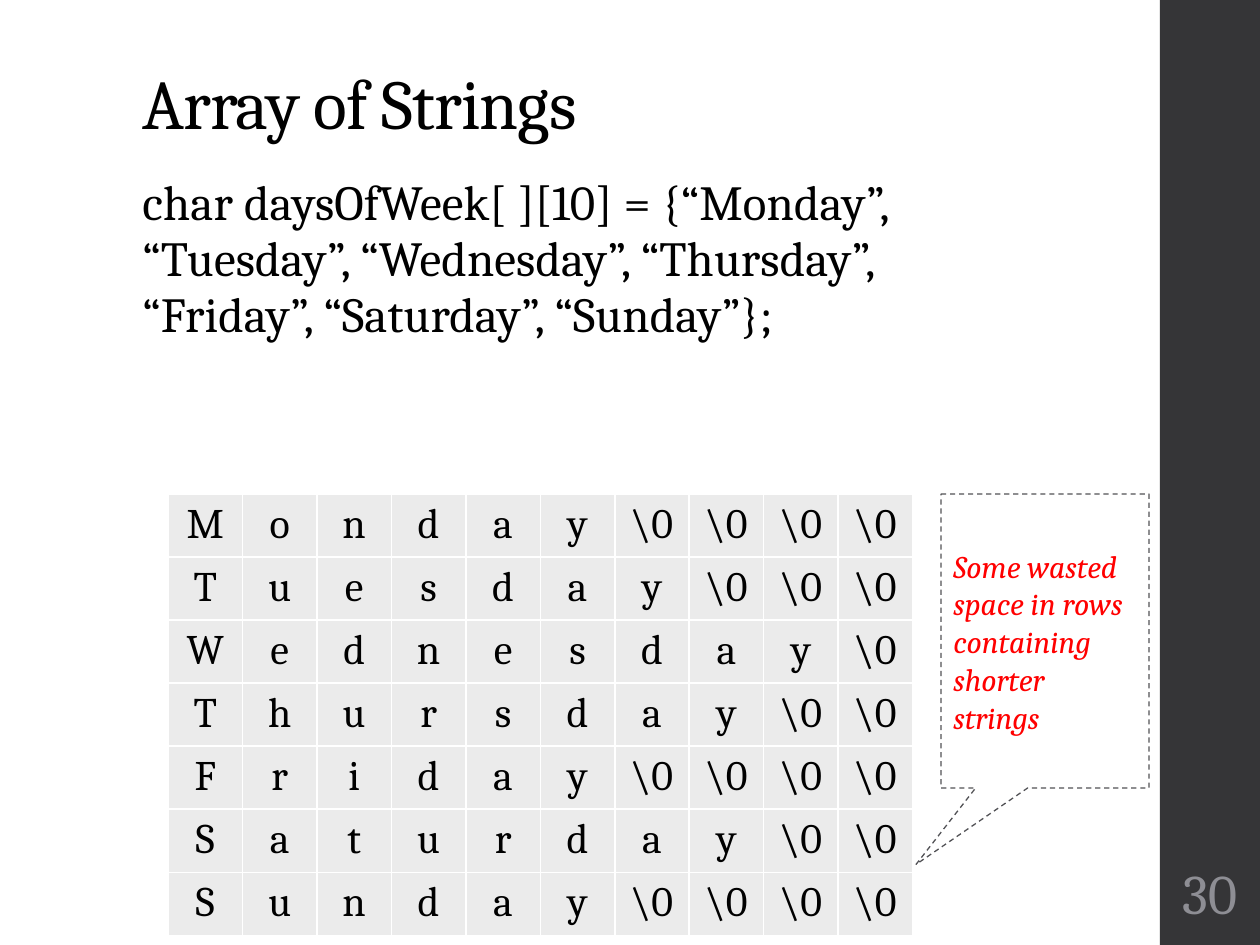
from lxml import etree
from pptx import Presentation
from pptx import util as u
from pptx.dml.color import RGBColor
from pptx.enum import dml, shapes, text
from pptx.oxml import ns

PX = 914400 / 126
FONT = "Cambria"
BLACK = RGBColor(0x00, 0x00, 0x00)
WHITE = RGBColor(0xFF, 0xFF, 0xFF)
CHARCOAL = RGBColor(0x35, 0x35, 0x37)
NUMBER_GREY = RGBColor(0x8E, 0x8E, 0x94)
CELL_GREY = RGBColor(0xEB, 0xEB, 0xEB)
DASH_GREY = RGBColor(0x52, 0x52, 0x56)
RED = RGBColor(0xFF, 0x00, 0x00)
DAYS = ["Monday", "Tuesday", "Wednesday", "Thursday", "Friday", "Saturday", "Sunday"]
ROW_LENGTH = 10


def px(length):
    """Turn px into EMU."""
    return u.Emu(round(length * PX))


def write(frame, words, size, color, align=text.PP_ALIGN.LEFT, spacing=0):
    """Fill a text frame with one styled paragraph and return it."""
    frame.word_wrap = True
    line = frame.paragraphs[0]
    line.text = words
    line.alignment = align
    line.font.name = FONT
    line.font.size = u.Pt(size)
    line.font.color.rgb = color
    if spacing:
        line._p.pPr.find(ns.qn("a:defRPr")).set("spc", str(spacing))
    return line


def add_sidebar(slide, left, top, width, height):
    """Draw the dark band with the slide number near its foot."""
    band = slide.shapes.add_shape(
        shapes.MSO_SHAPE.RECTANGLE, px(left), px(top), px(width), px(height))
    band.shadow.inherit = False
    band.fill.solid()
    band.fill.fore_color.rgb = CHARCOAL
    band.line.fill.background()
    number = slide.shapes.add_textbox(
        px(left + 3), px(top + height - 94), px(width - 6), px(82)).text_frame
    number.margin_left = number.margin_right = px(4)
    number.vertical_anchor = text.MSO_ANCHOR.MIDDLE
    write(number, "30", 32, NUMBER_GREY, text.PP_ALIGN.CENTER)


def add_title(slide, left, top, width, height):
    """Place the title on the bottom of its box."""
    title = slide.shapes.add_textbox(px(left), px(top), px(width), px(height)).text_frame
    title.vertical_anchor = text.MSO_ANCHOR.BOTTOM
    write(title, "Array of Strings", 40, BLACK, spacing=-50).line_spacing = 0.9


def add_declaration(slide, left, top, width, height):
    """Place the array declaration listing all days."""
    code = slide.shapes.add_textbox(px(left), px(top), px(width), px(height)).text_frame
    names = ", ".join(f"“{day}”" for day in DAYS)
    declaration = write(code, f"char daysOfWeek[ ][10] = {{{names}}};", 28, BLACK, spacing=10)
    declaration.line_spacing = 0.95
    declaration.space_after = u.Pt(2)


def add_borders(cell):
    """Give a cell thin white lines on all sides."""
    properties = cell._tc.get_or_add_tcPr()
    for side in ("lnL", "lnR", "lnT", "lnB"):
        edge = etree.SubElement(properties, ns.qn(f"a:{side}"), w=str(u.Pt(1)))
        paint = etree.SubElement(edge, ns.qn("a:solidFill"))
        etree.SubElement(paint, ns.qn("a:srgbClr"), val=str(WHITE))


def add_memory(slide, left, top, width, height):
    """Show each day as a row of characters padded with null characters."""
    memory = slide.shapes.add_table(
        len(DAYS), ROW_LENGTH, px(left), px(top), px(width), px(height)).table
    memory.first_row = memory.horz_banding = False
    for column in memory.columns:
        column.width = px(width / ROW_LENGTH)
    for row, day in zip(memory.rows, DAYS):
        row.height = px(height / len(DAYS))
        letters = list(day) + ["\\0"] * (ROW_LENGTH - len(day))
        for cell, letter in zip(row.cells, letters):
            add_borders(cell)
            cell.fill.solid()
            cell.fill.fore_color.rgb = CELL_GREY
            write(cell.text_frame, letter, 24, BLACK, text.PP_ALIGN.CENTER)


def add_remark(slide, left, top, width, height):
    """Draw the dashed callout pointing at the unused characters."""
    callout = slide.shapes.add_shape(
        shapes.MSO_SHAPE.RECTANGULAR_CALLOUT, px(left), px(top), px(width), px(height))
    callout.adjustments[0], callout.adjustments[1] = -0.62, 0.76
    callout.shadow.inherit = False
    callout.fill.background()
    callout.line.color.rgb = DASH_GREY
    callout.line.width = u.Pt(0.75)
    callout.line.dash_style = dml.MSO_LINE.DASH
    callout.text_frame.vertical_anchor = text.MSO_ANCHOR.MIDDLE
    remark = write(callout.text_frame,
                   "Some wasted space in rows containing shorter strings", 18, RED)
    remark.font.italic = True


def main():
    """Build and save the slide."""
    deck = Presentation()
    deck.slide_width, deck.slide_height = px(1260), px(945)
    slide = deck.slides.add_slide(deck.slide_layouts[6])
    add_sidebar(slide, 1160, 0, 100, 945)
    add_title(slide, 130, -32, 1002, 183)
    add_declaration(slide, 130, 170, 888, 600)
    add_memory(slide, 168, 494, 745, 427)
    add_remark(slide, 941, 494, 208, 294)
    deck.save("out.pptx")


if __name__ == "__main__":
    main()
